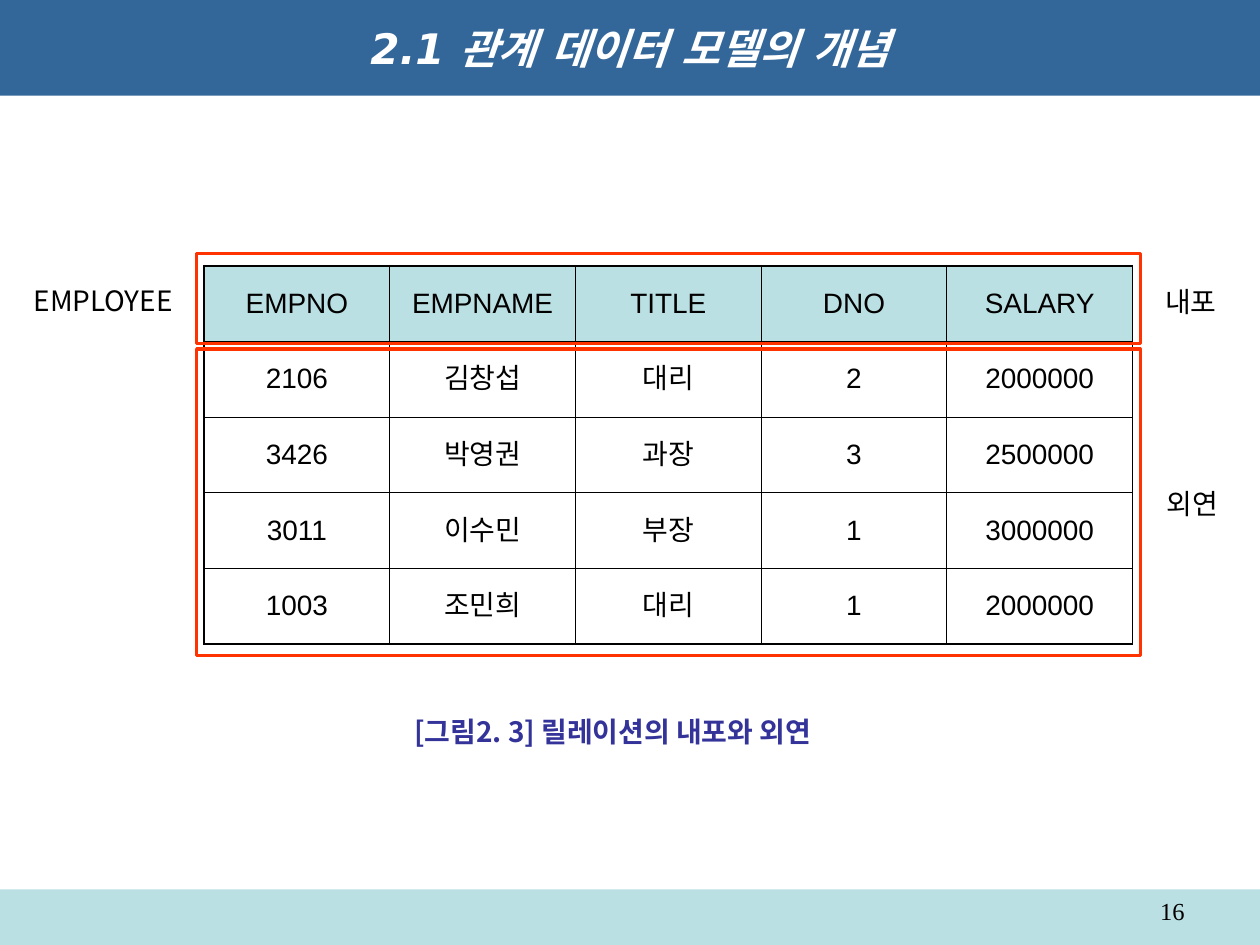
from dataclasses import dataclass

from lxml import etree
from pptx import Presentation
from pptx.dml.color import RGBColor
from pptx.enum.shapes import MSO_SHAPE
from pptx.enum.text import MSO_ANCHOR, PP_ALIGN
from pptx.oxml.ns import qn
from pptx.util import Inches, Pt

RECT = MSO_SHAPE.RECTANGLE
MIDDLE = MSO_ANCHOR.MIDDLE
LEFT, CENTER, RIGHT, JUSTIFY = (
    PP_ALIGN.LEFT, PP_ALIGN.CENTER, PP_ALIGN.RIGHT, PP_ALIGN.JUSTIFY)

BLACK, WHITE, PALE = "000000", "FFFFFF", "BBE0E3"
NAVY, INDIGO, RED = "336699", "333399", "FF3300"
THIN, THICK = 0.45, 1.08

TITLE_FORMAT = {"size": Pt(24), "name": "DejaVu Sans", "bold": True, "italic": True}
CELL_FORMAT = {"size": Pt(16), "name": "Arial"}
LABEL_FORMAT = {"size": Pt(16), "name": "Noto Sans CJK JP"}
CAPTION_FORMAT = {"size": Pt(16), "name": "Noto Sans CJK KR", "bold": True}
NUMBER_FORMAT = {"size": Pt(14), "name": "Times New Roman"}

ROWS = [
    ["EMPNO", "EMPNAME", "TITLE", "DNO", "SALARY"],
    ["2106", "김창섭", "대리", "2", "2000000"],
    ["3426", "박영권", "과장", "3", "2500000"],
    ["3011", "이수민", "부장", "1", "3000000"],
    ["1003", "조민희", "대리", "1", "2000000"],
]


@dataclass
class Box:
    x: float
    y: float
    w: float
    h: float

    def lengths(self) -> list:
        return [Inches(v) for v in (self.x, self.y, self.w, self.h)]


@dataclass
class Label:
    text: str
    box: Box
    fmt: dict
    color: str = BLACK
    align: int = LEFT
    wrap: bool = True


LABELS = [
    Label("16", Box(7.17, 7.06, 2.33, 0.29), NUMBER_FORMAT, align=RIGHT),
    Label("[그림2. 3] 릴레이션의 내포와 외연", Box(3.19, 5.62, 3.7, 0.37),
          CAPTION_FORMAT, INDIGO, JUSTIFY),
    Label("EMPLOYEE", Box(0.17, 2.2, 1.32, 0.37), LABEL_FORMAT, wrap=False),
    Label("내포", Box(9.15, 2.21, 0.63, 0.37), LABEL_FORMAT, wrap=False),
    Label("외연", Box(9.16, 3.81, 0.63, 0.37), LABEL_FORMAT, wrap=False),
]
FRAMES = [Box(1.56, 2.01, 7.49, 0.72), Box(1.56, 2.77, 7.49, 2.43)]


def rgb(color: str) -> RGBColor:
    return RGBColor.from_string(color)


def write(tf, text: str, fmt: dict, color: str, align: int) -> None:
    p = tf.paragraphs[0]
    p.alignment = align
    r = p.add_run()
    r.text = text
    for key, value in fmt.items():
        setattr(r.font, key, value)
    r.font.color.rgb = rgb(color)
    ea = etree.SubElement(r.font._element, qn("a:ea"))
    ea.set("typeface", fmt["name"])


def add_label(s, label: Label) -> None:
    tf = s.shapes.add_textbox(*label.box.lengths()).text_frame
    tf.word_wrap = label.wrap
    write(tf, label.text, label.fmt, label.color, label.align)


def add_bar(s, box: Box, color: str) -> None:
    sp = s.shapes.add_shape(RECT, *box.lengths())
    sp.shadow.inherit = False
    sp.fill.solid()
    sp.fill.fore_color.rgb = rgb(color)
    sp.line.fill.background()


def add_frame(s, box: Box) -> None:
    sp = s.shapes.add_shape(RECT, *box.lengths())
    sp.shadow.inherit = False
    sp.fill.background()
    sp.line.color.rgb = rgb(RED)
    sp.line.width = Pt(1.75)


def set_title(s, text: str, box: Box) -> None:
    sp = s.shapes.title
    sp.left, sp.top, sp.width, sp.height = box.lengths()
    sp.fill.solid()
    sp.fill.fore_color.rgb = rgb(NAVY)
    sp.text_frame.vertical_anchor = MIDDLE
    write(sp.text_frame, text, TITLE_FORMAT, WHITE, CENTER)


def set_border(cell, side: str, width: float) -> None:
    tc_pr = cell._tc.get_or_add_tcPr()
    ln = etree.SubElement(tc_pr, qn(f"a:ln{side}"), w=str(int(Pt(width))))
    fill = etree.SubElement(ln, qn("a:solidFill"))
    etree.SubElement(fill, qn("a:srgbClr"), val=BLACK)


def add_grid(s, rows: list, box: Box) -> None:
    last_row, last_col = len(rows) - 1, len(rows[0]) - 1
    table = s.shapes.add_table(len(rows), len(rows[0]), *box.lengths()).table
    table.horz_banding = False
    table.first_row = False
    for i, row in enumerate(rows):
        for j, text in enumerate(row):
            cell = table.cell(i, j)
            cell.vertical_anchor = MIDDLE
            write(cell.text_frame, text, CELL_FORMAT, BLACK, CENTER)
            outer = {"L": j == 0, "R": j == last_col, "T": i == 0, "B": i == last_row}
            for side, is_outer in outer.items():
                set_border(cell, side, THICK if is_outer else THIN)
            if i == 0:
                cell.fill.solid()
                cell.fill.fore_color.rgb = rgb(PALE)
            else:
                cell.fill.background()


def main() -> None:
    prs = Presentation()
    prs.slide_width, prs.slide_height = Inches(10), Inches(7.5)
    s = prs.slides.add_slide(prs.slide_layouts[5])
    add_bar(s, Box(0, 7.06, 10, 0.44), PALE)
    set_title(s, "2.1 관계 데이터 모델의 개념", Box(0, 0, 10, 0.76))
    add_grid(s, ROWS, Box(1.62, 2.11, 7.37, 3))
    for frame in FRAMES:
        add_frame(s, frame)
    for label in LABELS:
        add_label(s, label)
    prs.save("out.pptx")


if __name__ == "__main__":
    main()
